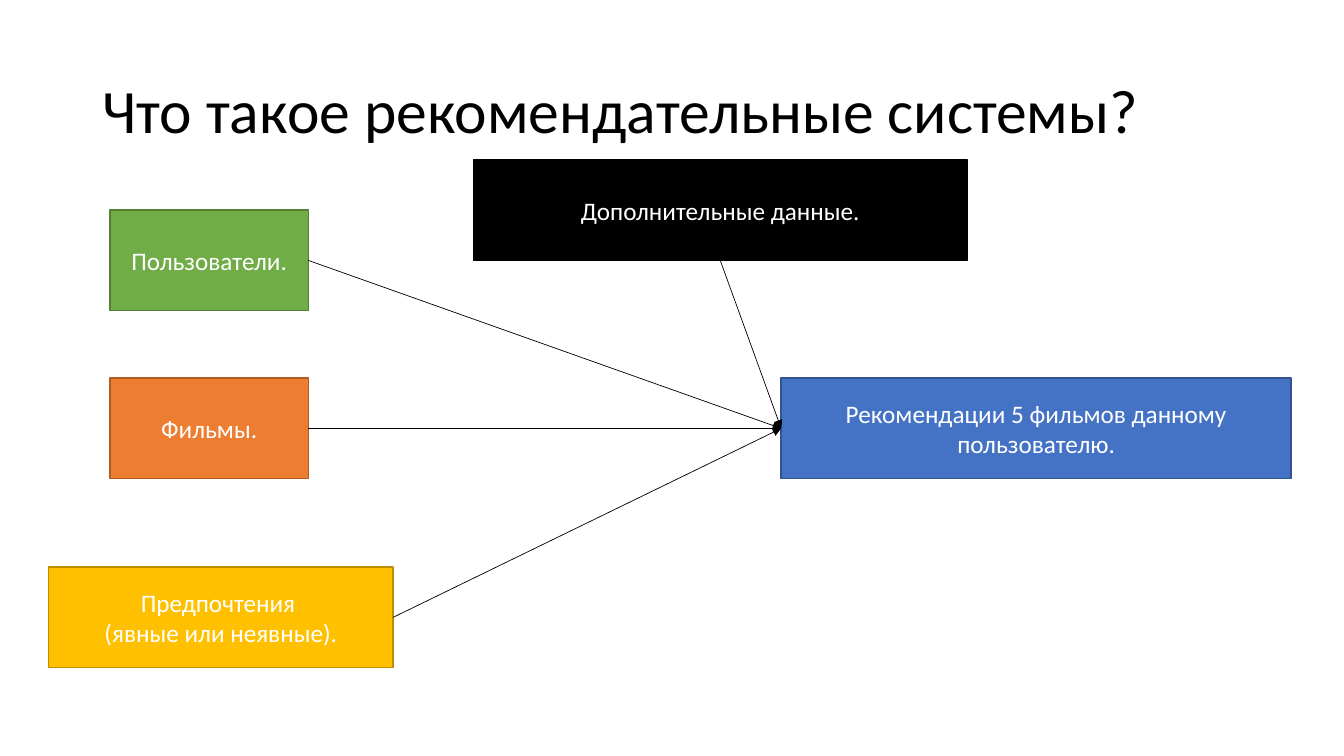
from lxml.etree import SubElement
from pptx import Presentation
from pptx.dml.color import RGBColor
from pptx.enum.shapes import MSO_CONNECTOR, MSO_SHAPE
from pptx.enum.text import MSO_ANCHOR, PP_ALIGN
from pptx.oxml.ns import qn
from pptx.util import Inches, Pt

SLIDE_WIDTH, SLIDE_HEIGHT = Inches(13.333), Inches(7.5)
COLUMN, ROW = SLIDE_WIDTH / 16, SLIDE_HEIGHT / 18
BOX_ROWS = 2.4
BOTTOM, LEFT, RIGHT = 2, 1, 3  # connection sites of a rectangle
FONT = "Calibri"
COLORS = {
    "black": "000000", "white": "FFFFFF",
    "green": "70AD47", "green edge": "538035",
    "orange": "ED7D31", "orange edge": "AF5C24",
    "yellow": "FFC000", "yellow edge": "BD8E00",
    "blue": "4472C4", "blue edge": "325491",
    "black edge": "000000",
}


def color(name):
    return RGBColor.from_string(COLORS[name])


def grid(column, row, columns, rows):
    """Turn grid cells into left, top, width and height."""
    return (round(column * COLUMN), round(row * ROW),
            round(columns * COLUMN), round(rows * ROW))


def write(frame, text, size, color_name, align):
    frame.word_wrap = True
    frame.vertical_anchor = MSO_ANCHOR.MIDDLE
    frame.text = text
    paragraph = frame.paragraphs[0]
    paragraph.alignment = align
    paragraph.font.name = FONT
    paragraph.font.size = Pt(size)
    paragraph.font.color.rgb = color(color_name)
    return paragraph


def add_title(slide, text):
    title = slide.shapes.add_textbox(*grid(1.1, 0.96, 13.8, 3.48))
    paragraph = write(title.text_frame, text, 44, "black", PP_ALIGN.LEFT)
    paragraph.line_spacing = 0.9


def add_box(slide, text, fill, column, row, columns):
    box = slide.shapes.add_shape(
        MSO_SHAPE.RECTANGLE, *grid(column, row, columns, BOX_ROWS))
    box.shadow.inherit = False
    box.fill.solid()
    box.fill.fore_color.rgb = color(fill)
    box.line.color.rgb = color(fill + " edge")
    box.line.width = Pt(1)
    write(box.text_frame, text, 18, "white", PP_ALIGN.CENTER)
    return box


def add_arrow(slide, source, source_site, target):
    arrow = slide.shapes.add_connector(MSO_CONNECTOR.STRAIGHT, 0, 0, 0, 0)
    arrow.begin_connect(source, source_site)
    arrow.end_connect(target, LEFT)
    arrow.line.color.rgb = color("black")
    arrow.line.width = Pt(0.5)
    SubElement(arrow.line._get_or_add_ln(), qn("a:tailEnd"), type="triangle")
    SubElement(arrow._element.spPr, qn("a:effectLst"))


def main():
    presentation = Presentation()
    presentation.slide_width = SLIDE_WIDTH
    presentation.slide_height = SLIDE_HEIGHT
    slide = presentation.slides.add_slide(presentation.slide_layouts[6])

    add_title(slide, "Что такое рекомендательные системы?")

    # Inputs of the system and its result
    users = add_box(slide, "Пользователи.", "green", 1.31, 5, 2.36)
    films = add_box(slide, "Фильмы.", "orange", 1.31, 9, 2.36)
    preferences = add_box(
        slide, "Предпочтения \v(явные или неявные).", "yellow", 0.58, 13.5, 4.1)
    extra_data = add_box(
        slide, "Дополнительные данные.", "black", 5.64, 3.8, 5.87)
    recommendations = add_box(
        slide, "Рекомендации 5 фильмов данному пользователю.", "blue",
        9.3, 9, 6.07)

    # Every input leads to the recommendations
    for source in (users, films, preferences):
        add_arrow(slide, source, RIGHT, recommendations)
    add_arrow(slide, extra_data, BOTTOM, recommendations)

    presentation.save("out.pptx")


main()
